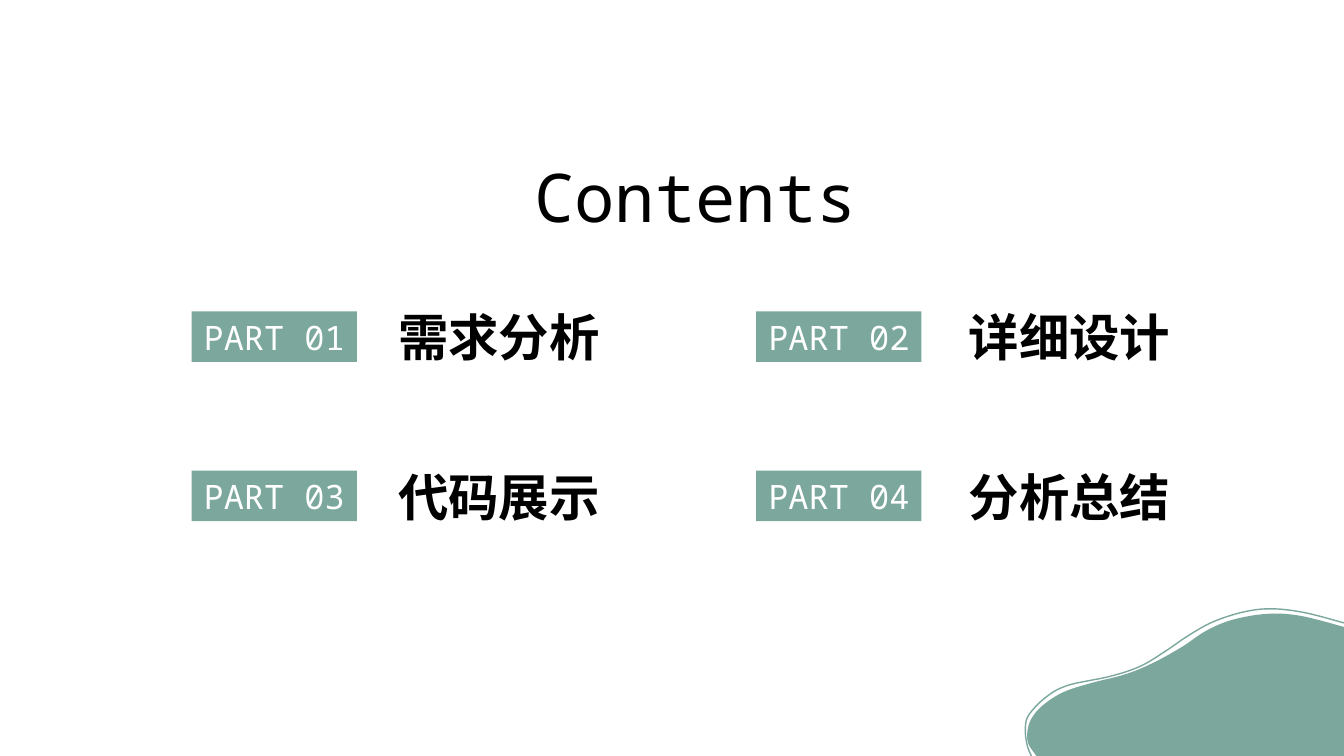
from lxml.etree import SubElement
from pptx import Presentation
from pptx.dml.color import RGBColor
from pptx.enum.shapes import MSO_SHAPE
from pptx.enum.text import MSO_ANCHOR, MSO_AUTO_SIZE, PP_ALIGN
from pptx.oxml.ns import qn
from pptx.util import Inches, Pt

COLORS = {"sage": "7BA79D", "white": "FFFFFF", "black": "000000"}
MONO = "Noto Sans Mono"
HAN = "Noto Sans CJK SC"
WIDE, HIGH = 13.33, 7.5

PARTS = ["需求分析", "详细设计", "代码展示", "分析总结"]
BADGE_X = [1.9, 7.5]
NAME_X = [3.85, 9.51]
TOP, STEP = 3.09, 1.58

HILL = [(10.28, 7.5), (10.2, 7.38), (10.19, 7.26), (10.23, 7.13),
        (10.34, 7.0), (10.54, 6.87), (10.81, 6.78), (11.16, 6.69),
        (11.43, 6.58), (11.72, 6.42), (11.96, 6.26), (12.22, 6.15),
        (12.57, 6.09), (12.9, 6.11), (13.33, 6.22)]
RIM = [(10.23, 7.5), (10.19, 7.4), (10.17, 7.25), (10.2, 7.1),
       (10.37, 6.92), (10.59, 6.8), (11.01, 6.71), (11.31, 6.61),
       (11.56, 6.46), (11.78, 6.31), (12.03, 6.17), (12.34, 6.07),
       (12.62, 6.04), (12.95, 6.08), (13.33, 6.18)]


def shade(name):
    return RGBColor.from_string(COLORS[name])


def smooth(knots, steps=8):
    """Return points on a Catmull-Rom curve through the knots."""
    ends = [knots[0], *knots, knots[-1]]
    curve = [knots[0]]
    for a, b, c, d in zip(ends, ends[1:], ends[2:], ends[3:]):
        for i in range(1, steps + 1):
            t = i / steps
            curve.append(tuple(
                (2 * q + (r - p) * t + (2 * p - 5 * q + 4 * r - s) * t ** 2
                 + (3 * q - p - 3 * r + s) * t ** 3) / 2
                for p, q, r, s in zip(a, b, c, d)))
    return curve


def write(shape, text, size=24, font=MONO, color="black", bold=False,
          align=PP_ALIGN.LEFT):
    frame = shape.text_frame
    frame.word_wrap = True
    frame.auto_size = MSO_AUTO_SIZE.SHAPE_TO_FIT_TEXT
    para = frame.paragraphs[0]
    para.alignment = align
    run = para.add_run()
    run.text = text
    run.font.size = Pt(size)
    run.font.name = font
    run.font.bold = bold
    run.font.color.rgb = shade(color)
    SubElement(run.font._element, qn("a:ea"), typeface=font)


class Deck:
    def __init__(self):
        self.show = Presentation()
        self.show.slide_width = Inches(WIDE)
        self.show.slide_height = Inches(HIGH)
        self.slide = self.show.slides.add_slide(self.show.slide_layouts[6])
        self.accent = "sage"

    def badge(self, x, y, text):
        box = self.slide.shapes.add_shape(
            MSO_SHAPE.RECTANGLE, Inches(x), Inches(y), Inches(1.64), Inches(0.5))
        self.paint(box)
        box.text_frame.vertical_anchor = MSO_ANCHOR.MIDDLE
        write(box, text, color="white", align=PP_ALIGN.CENTER)

    def label(self, x, y, w, h, text, **style):
        box = self.slide.shapes.add_textbox(
            Inches(x), Inches(y), Inches(w), Inches(h))
        write(box, text, **style)

    def wave(self, points, close):
        """Draw a filled area if closed, or else a thin line."""
        spots = [(Inches(x), Inches(y)) for x, y in points]
        pen = self.slide.shapes.build_freeform(*spots[0])
        pen.add_line_segments(spots[1:], close=close)
        shape = pen.convert_to_shape()
        self.paint(shape)
        if not close:
            shape.fill.background()
            shape.line.color.rgb = shade(self.accent)
            shape.line.width = Pt(1)

    def paint(self, shape):
        shape.shadow.inherit = False
        shape.fill.solid()
        shape.fill.fore_color.rgb = shade(self.accent)
        shape.line.fill.background()


def main():
    deck = Deck()
    deck.wave(smooth(HILL) + [(WIDE, HIGH)], True)
    deck.wave(smooth(RIM), False)
    deck.label(5.2, 1.49, 3.41, 0.91, "Contents", size=48)
    for i, name in enumerate(PARTS):
        row, col = divmod(i, 2)
        y = TOP + row * STEP
        deck.badge(BADGE_X[col], y, f"PART {i + 1:02}")
        deck.label(NAME_X[col], y - 0.1, 2.33, 0.71, name,
                   size=36, font=HAN, bold=True)
    deck.show.save("out.pptx")


if __name__ == "__main__":
    main()
